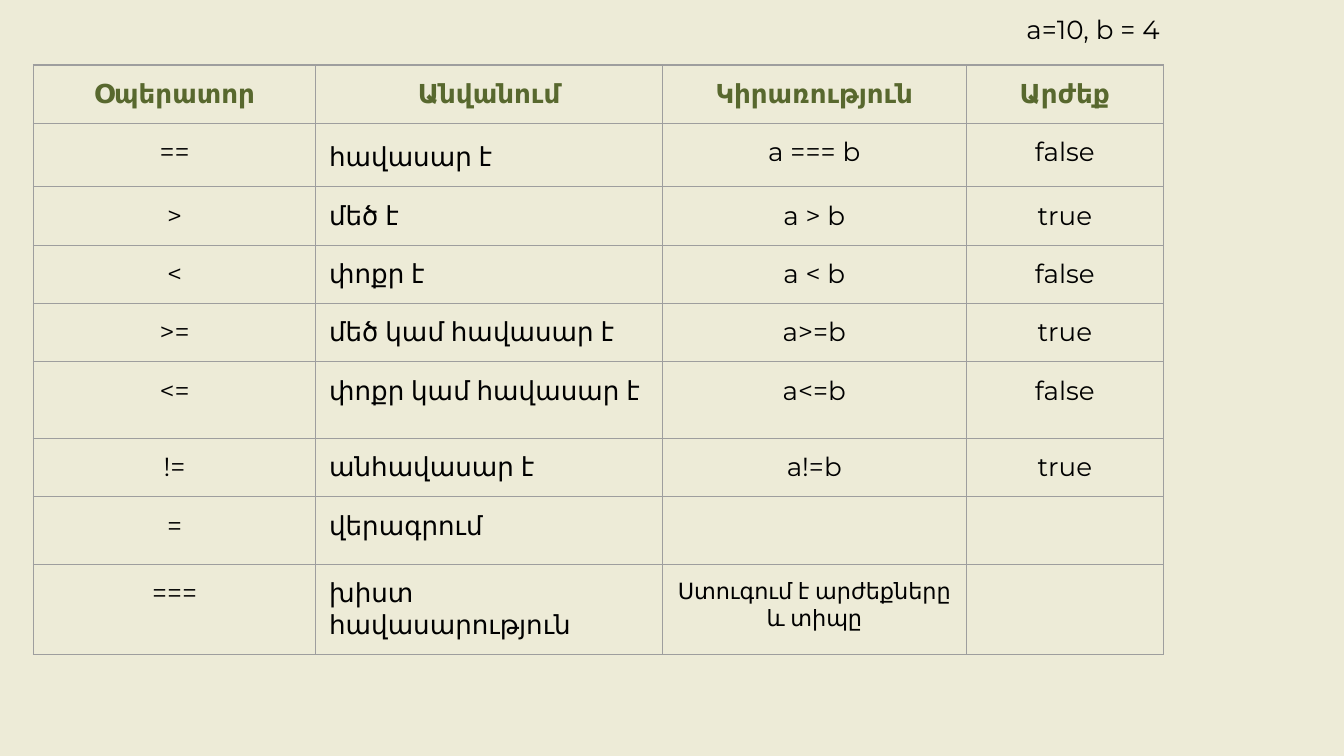
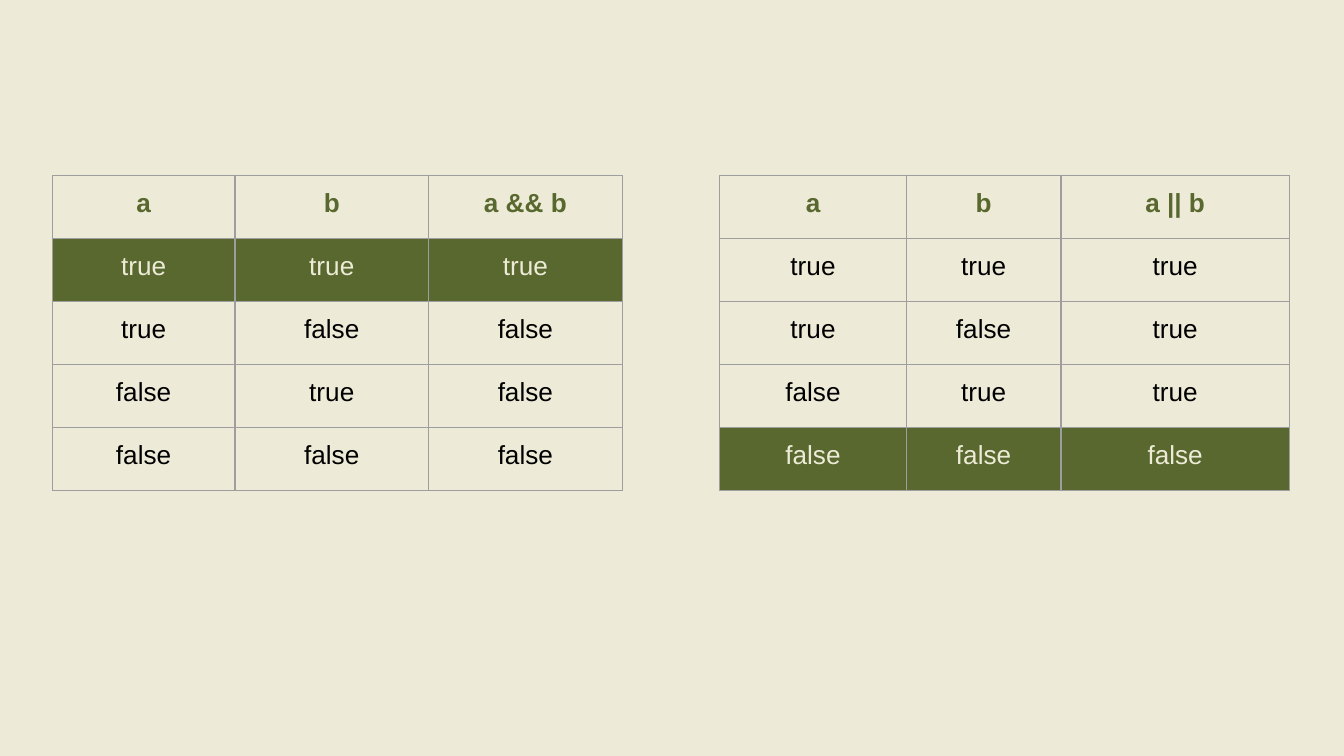
"""Builds two slides with tables of comparison and logical operators."""
from dataclasses import dataclass
from itertools import product

from lxml import etree
from pptx import Presentation
from pptx.dml.color import RGBColor
from pptx.enum.text import PP_ALIGN
from pptx.oxml.ns import qn
from pptx.util import Cm, Pt

LEFT, CENTER, RIGHT = PP_ALIGN.LEFT, PP_ALIGN.CENTER, PP_ALIGN.RIGHT
BLANK_LAYOUT = 6


@dataclass(frozen=True)
class Theme:
    """Colours, type sizes and measures shared by the slides."""
    paper: str = "EDEBD7"
    accent: str = "58682E"
    ink: str = "000000"
    border: str = "9E9E9E"
    border_width: float = 0.75
    body_size: int = 14
    small_size: int = 12
    padding: float = 0.25
    main_font: str = "Montserrat"
    plain_font: str = "Arial"


class Deck:
    """Holds the theme and the current page, and draws elements on it."""

    def __init__(self, theme):
        self.theme = theme
        self.presentation = Presentation()
        self.presentation.slide_width = Cm(25.4)
        self.presentation.slide_height = Cm(14.29)
        self.page = None

    def add_page(self):
        """Start a blank page on the paper colour."""
        layout = self.presentation.slide_layouts[BLANK_LAYOUT]
        self.page = self.presentation.slides.add_slide(layout)
        fill = self.page.background.fill
        fill.solid()
        fill.fore_color.rgb = RGBColor.from_string(self.theme.paper)

    def pad(self, area):
        """Give a cell or a text frame equal inner margins."""
        area.margin_left = area.margin_right = Cm(self.theme.padding)
        area.margin_top = area.margin_bottom = Cm(self.theme.padding)

    def set_text(self, frame, text, font, color, align, bold=False):
        """Put one formatted paragraph into a text frame."""
        frame.text = text
        para = frame.paragraphs[0]
        para.alignment = align
        for span in para.runs:
            span.font.name = font
            span.font.size = Pt(self.theme.body_size)
            span.font.bold = bold
            span.font.color.rgb = RGBColor.from_string(color)

    def add_text(self, left, top, width, height, text, align):
        """Add a text box in the main font."""
        box = self.page.shapes.add_textbox(Cm(left), Cm(top), Cm(width), Cm(height))
        frame = box.text_frame
        frame.word_wrap = True
        self.pad(frame)
        self.set_text(frame, text, self.theme.main_font, self.theme.ink, align)

    def outline(self, cell):
        """Draw the four borders of a cell."""
        properties = cell._tc.get_or_add_tcPr()
        for index, side in enumerate(("lnL", "lnR", "lnT", "lnB")):
            line = etree.Element(qn(f"a:{side}"), w=str(Pt(self.theme.border_width)))
            fill = etree.SubElement(line, qn("a:solidFill"))
            etree.SubElement(fill, qn("a:srgbClr"), val=self.theme.border)
            properties.insert(index, line)

    def add_table(self, left, top, widths, heights, rows, font,
                  left_column=None, highlight=None):
        """Add a table with a bold header and an optional highlighted row."""
        theme = self.theme
        table = self.page.shapes.add_table(
            len(rows), len(widths), Cm(left), Cm(top),
            Cm(sum(widths)), Cm(sum(heights))).table
        table.first_row = table.horz_banding = False
        for column, width in zip(table.columns, widths):
            column.width = Cm(width)
        for row_index, (row, height, texts) in enumerate(zip(table.rows, heights, rows)):
            row.height = Cm(height)
            header, marked = row_index == 0, row_index == highlight
            color = theme.accent if header else theme.paper if marked else theme.ink
            for column_index, (cell, text) in enumerate(zip(row.cells, texts)):
                self.pad(cell)
                if marked:
                    cell.fill.solid()
                    cell.fill.fore_color.rgb = RGBColor.from_string(theme.accent)
                else:
                    cell.fill.background()
                self.outline(cell)
                if text:
                    aside = column_index == left_column and not header
                    self.set_text(cell.text_frame, text, font, color,
                                  LEFT if aside else CENTER, header)
        return table


def truth_rows(name, operation):
    """Return the header and all the rows of a truth table."""
    rows = [("a", "b", name)]
    for a, b in product((True, False), repeat=2):
        rows.append([str(value).lower() for value in (a, b, operation(a, b))])
    return rows


def add_comparison_page(deck):
    """Draw the table of comparison operators."""
    deck.add_page()
    rows = [
        ("Օպերատոր", "Անվանում", "Կիրառություն", "Արժեք"),
        ("==", "հավասար է", "a === b", "false"),
        (">", "մեծ է", "a > b", "true"),
        ("<", "փոքր է", "a < b", "false"),
        (">=", "մեծ կամ հավասար է", "a>=b", "true"),
        ("<=", "փոքր կամ հավասար է", "a<=b", "false"),
        ("!=", "անհավասար է", "a!=b", "true"),
        ("=", "վերագրում", "", ""),
        ("===", "խիստ հավասարություն", "Ստուգում է արժեքները և տիպը", ""),
    ]
    heights = [1.1, 1.2, 1.1, 1.1, 1.1, 1.45, 1.1, 1.1, 1.5]
    table = deck.add_table(0.63, 1.23, [5.34, 6.55, 5.74, 3.73], heights, rows,
                           deck.theme.main_font, left_column=1)
    table.cell(1, 1).text_frame.paragraphs[0].line_spacing = 1.15
    strict_note = table.cell(8, 2).text_frame.paragraphs[0]
    strict_note.runs[0].font.size = Pt(deck.theme.small_size)
    deck.add_text(18.67, 0, 3.5, 1.32, "a=10, b = 4", RIGHT)


def add_logic_page(deck):
    """Draw the truth tables of the logical operators side by side."""
    deck.add_page()
    tables = [
        (0.99, [3.45, 3.66, 3.66], "a && b", lambda a, b: a and b, 1),
        (13.6, [3.53, 2.92, 4.32], "a || b", lambda a, b: a or b, 4),
    ]
    for left, widths, name, operation, highlight in tables:
        deck.add_table(left, 3.32, widths, [1.19] * 5, truth_rows(name, operation),
                       deck.theme.plain_font, highlight=highlight)


def main():
    """Build the deck and save it."""
    deck = Deck(Theme())
    add_comparison_page(deck)
    add_logic_page(deck)
    deck.presentation.save("out.pptx")


if __name__ == "__main__":
    main()
